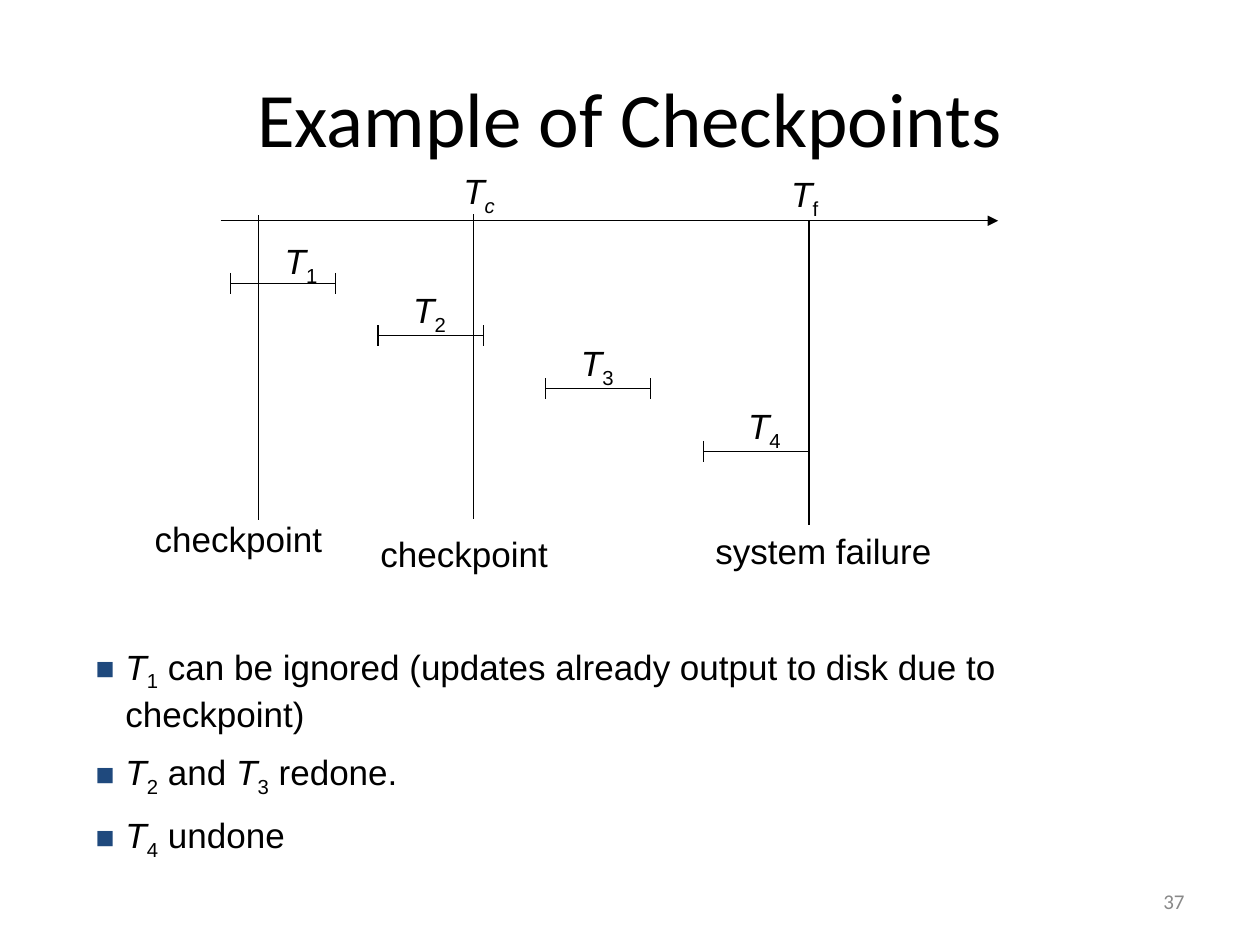
from lxml.etree import SubElement
from pptx import Presentation
from pptx.dml.color import RGBColor
from pptx.enum.shapes import MSO_CONNECTOR
from pptx.enum.text import MSO_ANCHOR, MSO_AUTO_SIZE, PP_ALIGN
from pptx.oxml.ns import qn
from pptx.util import Cm, Pt

BLACK = RGBColor(0x00, 0x00, 0x00)
GRAY = RGBColor(0x89, 0x89, 0x89)
NAVY = RGBColor(0x1F, 0x49, 0x7D)

AXIS_Y = 4.45
INTERVAL_WIDTH = 2.12
TICK = 0.21
LABEL_WIDTH = 1.17
LABEL_HEIGHT = 1.22

# x, top, bottom
EVENT_LINES = [(5.21, 4.34, 10.49), (9.55, 4.32, 10.46), (16.31, AXIS_Y, 10.59)]
# left, top, width, text
EVENT_NAMES = [
    (2.87, 10.31, 3.89, "checkpoint"),
    (7.42, 10.62, 3.89, "checkpoint"),
    (14.17, 10.54, 4.9, "system failure"),
]
# interval start, interval y, label left, label top
TRANSACTIONS = [
    (4.65, 5.71, 5.49, 4.7),
    (7.62, 6.77, 8.08, 5.69),
    (11, 7.83, 11.46, 6.76),
    (14.18, 9.1, 14.83, 8.03),
]


def symbol(index, index_style="sub"):
    """Runs for an italic T with a subscript."""
    return [("T", "italic"), (index, index_style)]


BULLETS = [
    symbol("1") + [(" can be ignored (updates already output to disk due to checkpoint)", "")],
    symbol("2") + [(" and ", "")] + symbol("3") + [(" redone.", "")],
    symbol("4") + [(" undone", "")],
]


def write(p, runs, size=20, font="Arial", color=BLACK, align=PP_ALIGN.LEFT):
    """Fill a paragraph from a string or from (text, style) runs."""
    p.alignment = align
    for text, style in [(runs, "")] if isinstance(runs, str) else runs:
        r = p.add_run()
        r.text = text
        r.font.size = Pt(size)
        r.font.name = font
        r.font.color.rgb = color
        if "italic" in style:
            r.font.italic = True
        if "sub" in style:
            r.font._element.set("baseline", "-25000")


def add_text(s, left, top, width, height, *paragraphs, wrap=False,
             anchor=MSO_ANCHOR.TOP, **fmt):
    """Add a text box; one that does not wrap grows to fit its text."""
    tf = s.shapes.add_textbox(Cm(left), Cm(top), Cm(width), Cm(height)).text_frame
    tf.word_wrap = wrap
    tf.auto_size = MSO_AUTO_SIZE.NONE if wrap else MSO_AUTO_SIZE.SHAPE_TO_FIT_TEXT
    tf.vertical_anchor = anchor
    for i, runs in enumerate(paragraphs):
        write(tf.add_paragraph() if i else tf.paragraphs[0], runs, **fmt)
    return tf


def add_line(s, x1, y1, x2, y2, arrow=False):
    line = s.shapes.add_connector(MSO_CONNECTOR.STRAIGHT, Cm(x1), Cm(y1), Cm(x2), Cm(y2))
    line.line.color.rgb = BLACK
    line.line.width = Pt(0.75)
    if arrow:
        SubElement(line.line._get_or_add_ln(), qn("a:tailEnd"), type="triangle")
    SubElement(line._element.spPr, qn("a:effectLst"))


def add_interval(s, x, y):
    """Horizontal bar with an upright tick at each end."""
    end = x + INTERVAL_WIDTH
    add_line(s, x, y, end, y)
    for tick_x in (x, end):
        add_line(s, tick_x, y - TICK, tick_x, y + TICK)


def set_bullet(p):
    pPr = p._p.get_or_add_pPr()
    pPr.set("marL", str(Cm(0.6)))
    pPr.set("indent", str(-Cm(0.6)))
    SubElement(SubElement(pPr, qn("a:buClr")), qn("a:srgbClr"), val=str(NAVY))
    SubElement(pPr, qn("a:buSzPct"), val="90000")
    SubElement(pPr, qn("a:buFont"), typeface="Arial")
    SubElement(pPr, qn("a:buChar"), char="■")


def add_title(s, text):
    title = s.shapes.title
    title.left, title.top, title.width, title.height = Cm(1.27), Cm(0.76), Cm(22.86), Cm(3.18)
    title.text_frame.vertical_anchor = MSO_ANCHOR.MIDDLE
    write(title.text_frame.paragraphs[0], text, size=44, font="Calibri", align=PP_ALIGN.CENTER)


def add_timeline(s):
    add_line(s, 4.45, AXIS_Y, 20.12, AXIS_Y, arrow=True)
    for x, top, bottom in EVENT_LINES:
        add_line(s, x, top, x, bottom)
    add_text(s, 9.09, 3.3, LABEL_WIDTH, LABEL_HEIGHT, symbol("c", "italic sub"))
    add_text(s, 15.7, 3.35, 1.1, LABEL_HEIGHT, symbol("f"))
    for left, top, width, name in EVENT_NAMES:
        add_text(s, left, top, width, 1.12, name)
    for number, (x, y, left, top) in enumerate(TRANSACTIONS, 1):
        add_interval(s, x, y)
        add_text(s, left, top, LABEL_WIDTH, LABEL_HEIGHT, symbol(str(number)))


def add_bullets(s):
    tf = add_text(s, 1.68, 12.88, 22.28, 4.62, *BULLETS, wrap=True)
    for i, p in enumerate(tf.paragraphs):
        if i:
            p.space_before = Pt(8.8)
        set_bullet(p)


def main():
    prs = Presentation()
    prs.slide_width, prs.slide_height = Cm(25.4), Cm(19.05)
    s = prs.slides.add_slide(prs.slide_layouts[5])
    add_title(s, "Example of Checkpoints")
    add_timeline(s)
    add_bullets(s)
    add_text(s, 18.2, 17.66, 5.93, 1.01, "37", wrap=True, anchor=MSO_ANCHOR.MIDDLE,
             size=12, font="Calibri", color=GRAY, align=PP_ALIGN.RIGHT)
    prs.save("out.pptx")


if __name__ == "__main__":
    main()
